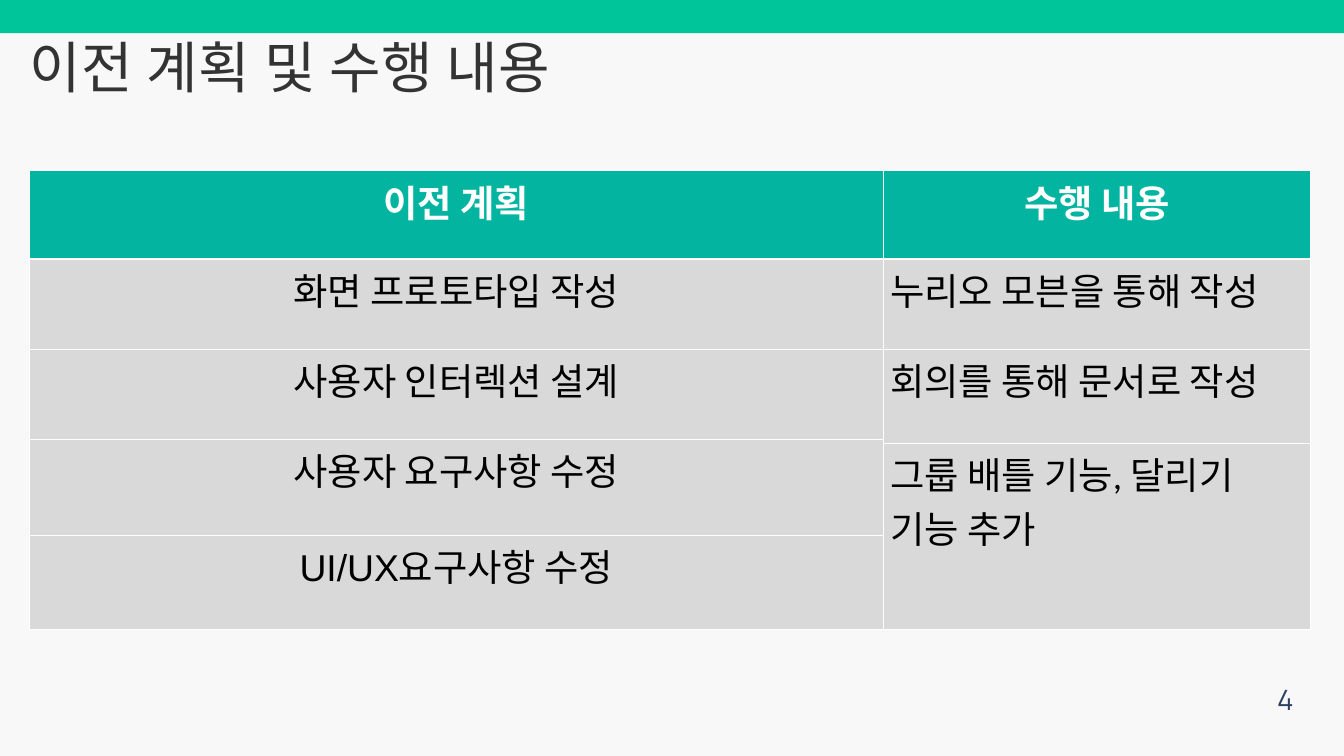
from lxml.etree import SubElement
from pptx import Presentation
from pptx.dml.color import RGBColor
from pptx.enum.shapes import MSO_SHAPE as Shape
from pptx.enum.text import MSO_ANCHOR as Anchor, MSO_AUTO_SIZE as AutoSize, PP_ALIGN as Align
from pptx.oxml.ns import qn
from pptx.util import Cm, Pt

COLORS = {
    "background": "F8F8F8", "band": "00C49A", "title": "333333", "number": "2D4263",
    "header": "03B5A0", "header_text": "FFFFFF", "body": "D9D9D9", "body_text": "000000",
    "border": "FFFFFF",
}
COLUMN_WIDTHS = (32.3, 16.15)
ROW_HEIGHTS = (3.35, 3.4, 3.4, 0.15, 3.48, 3.56)
# first row, last row, column, text
ENTRIES = (
    (0, 0, 0, "이전 계획"),
    (0, 0, 1, "수행 내용"),
    (1, 1, 0, "화면 프로토타입 작성"),
    (1, 1, 1, "누리오 모븐을 통해 작성"),
    (2, 2, 0, "사용자 인터렉션 설계"),
    (2, 3, 1, "회의를 통해 문서로 작성"),
    (3, 4, 0, "사용자 요구사항 수정"),
    (4, 5, 1, "그룹 배틀 기능, 달리기 기능 추가"),
    (5, 5, 0, "UI/UX요구사항 수정"),
)


def color(name):
    return RGBColor.from_string(COLORS[name])


def write(frame, text, ink, align=Align.LEFT, line_spacing=None, **font_format):
    paragraph = frame.paragraphs[0]
    paragraph.alignment = align
    paragraph.line_spacing = line_spacing
    run = paragraph.add_run()
    run.text = text
    run.font.color.rgb = color(ink)
    for name, value in font_format.items():
        setattr(run.font, name, value)
    return run


def trim_frame(frame):
    """Give a text frame no insets, wrapping and a height that follows its text."""
    settings = dict.fromkeys(("margin_left", "margin_top", "margin_right", "margin_bottom"), 0)
    settings |= {"word_wrap": True, "auto_size": AutoSize.SHAPE_TO_FIT_TEXT,
                 "vertical_anchor": Anchor.TOP}
    for name, value in settings.items():
        setattr(frame, name, value)


def add_band(slide, width):
    band = slide.shapes.add_shape(Shape.RECTANGLE, 0, 0, width, Cm(1.25))
    band.shadow.inherit = False
    band.fill.solid()
    band.fill.fore_color.rgb = color("band")
    band.line.fill.background()


def add_title(slide, text):
    title = slide.shapes.title
    place = {"left": Cm(1.1), "top": Cm(2.77), "width": Cm(40.36), "height": Cm(1.35)}
    for name, value in place.items():
        setattr(title, name, value)
    trim_frame(title.text_frame)
    run = write(title.text_frame, text, "title", line_spacing=Pt(28.8),
                size=Pt(60), name="Manrope")
    run.font._element.set("spc", "70")


def add_page_number(slide, number):
    box = slide.shapes.add_textbox(Cm(47), Cm(25.37), Cm(1.9), Cm(1.63))
    trim_frame(box.text_frame)
    write(box.text_frame, number, "number", Align.RIGHT, Pt(48),
          size=Pt(30), name="Manrope")


def style_cell(cell, row):
    """Draw the borders, with a thick one below the header, and fill the cell."""
    widths = {"lnL": 1, "lnR": 1, "lnT": 3 if row == 1 else 1, "lnB": 3 if row == 0 else 1}
    properties = cell._tc.get_or_add_tcPr()
    for side, width in widths.items():
        line = SubElement(properties, qn(f"a:{side}"), w=str(Pt(width)))
        SubElement(SubElement(line, qn("a:solidFill")), qn("a:srgbClr"), val=COLORS["border"])
    cell.fill.solid()
    cell.fill.fore_color.rgb = color("body" if row else "header")


def add_plan_table(slide):
    table = slide.shapes.add_table(
        len(ROW_HEIGHTS), len(COLUMN_WIDTHS), Cm(1.1), Cm(6.45),
        Cm(sum(COLUMN_WIDTHS)), Cm(sum(ROW_HEIGHTS))).table
    for column, width in zip(table.columns, COLUMN_WIDTHS):
        column.width = Cm(width)
    for index, (row, height) in enumerate(zip(table.rows, ROW_HEIGHTS)):
        row.height = Cm(height)
        for cell in row.cells:
            style_cell(cell, index)
    for first, last, column, text in ENTRIES:
        cell = table.cell(first, column)
        if last > first:
            cell.merge(table.cell(last, column))
        is_header = first == 0
        is_outcome = column == 1 and not is_header
        write(cell.text_frame, text, "header_text" if is_header else "body_text",
              Align.LEFT if is_outcome else Align.CENTER,
              size=Pt(40), bold=is_header, name="Calibri" if is_outcome else "Arial")


def main():
    deck = Presentation()
    deck.slide_width, deck.slide_height = Cm(50.8), Cm(28.58)
    slide = deck.slides.add_slide(deck.slide_layouts[5])
    slide.background.fill.solid()
    slide.background.fill.fore_color.rgb = color("background")
    add_band(slide, deck.slide_width)
    add_page_number(slide, "4")
    add_title(slide, "이전 계획 및 수행 내용")
    add_plan_table(slide)
    deck.save("out.pptx")


if __name__ == "__main__":
    main()
